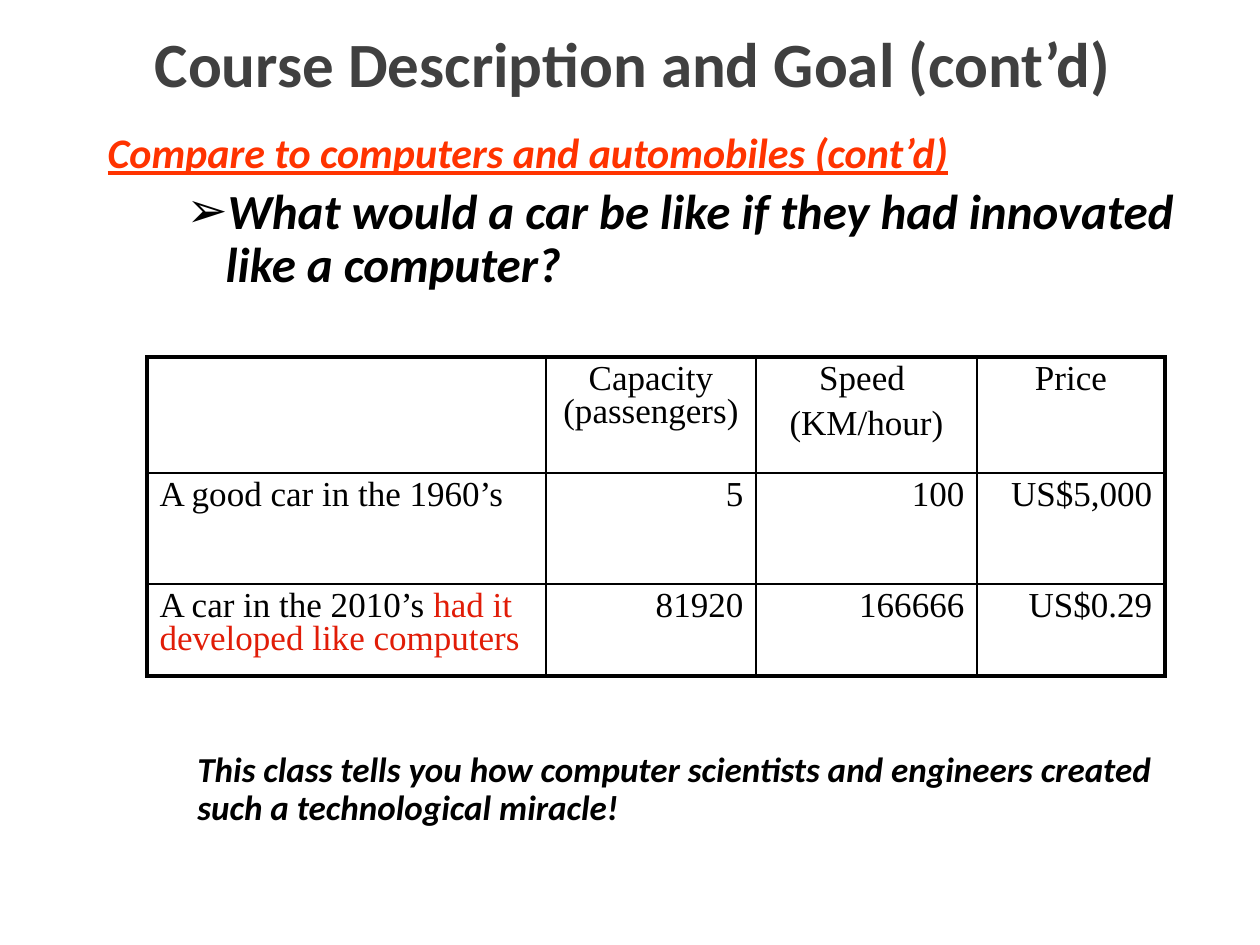
from pptx import Presentation
from pptx.dml.color import RGBColor
from pptx.enum.text import MSO_ANCHOR, MSO_AUTO_SIZE, PP_ALIGN
from pptx.oxml.xmlchemy import OxmlElement
from pptx.util import Pt

PIXEL = 914400 / 126
THEME = {
    "heading_font": "Calibri", "table_font": "Times New Roman",
    "title": "404040", "accent": "FF3300", "text": "000000", "highlight": "E11C07",
    "title_size": 36, "topic_size": 24, "question_size": 28, "text_size": 20,
    "thin": 1, "thick": 2.25,
}
TITLE = "Course Description and Goal (cont’d)"
TOPIC = "Compare to computers and automobiles (cont’d)"
QUESTION = "What would a car be like if they had innovated like a computer?"
CLOSING = ("This class tells you how computer scientists and engineers created "
           "such a technological miracle!")
ROWS = [
    [[], [[("Capacity (passengers)", "text")]],
     [[("Speed ", "text")], [("(KM/hour)", "text")]], [[("Price", "text")]]],
    [[[("A good car in the 1960’s", "text")]],
     [[("5", "text")]], [[("100", "text")]], [[("US$5,000", "text")]]],
    [[[("A car in the 2010’s ", "text"), ("had it developed like computers", "highlight")]],
     [[("81920", "text")]], [[("166666", "text")]], [[("US$0.29", "text")]]],
]
COLUMN_WIDTHS = [399, 210, 221, 188]
ROW_HEIGHTS = [116, 111, 92]
TITLE_BOX = (98, 21, 1070, 83)
BODY_BOX = (95, 126, 1102, 210)
TABLE_ORIGIN = (147, 357)
CLOSING_BOX = (107, 746, 1092, 136)


def px(value):
    return round(value * PIXEL)


def place(shape, box):
    shape.left, shape.top, shape.width, shape.height = map(px, box)


def add_run(paragraph, text, font, size, color, **styles):
    run = paragraph.add_run()
    run.text = text
    run.font.name = THEME[font]
    run.font.size = Pt(THEME[size])
    run.font.color.rgb = RGBColor.from_string(THEME[color])
    for style, value in styles.items():
        setattr(run.font, style, value)


def format_paragraph(paragraph, spacing, before, margin=0, indent=0, bullet=None):
    paragraph.line_spacing = spacing
    paragraph.space_before = Pt(before)
    properties = paragraph._p.get_or_add_pPr()
    properties.set("marL", str(px(margin)))
    properties.set("indent", str(px(indent)))
    mark = OxmlElement("a:buChar" if bullet else "a:buNone")
    if bullet:
        mark.set("char", bullet)
    properties.append(mark)


def set_border(cell, side, width):
    line = OxmlElement(f"a:ln{side}")
    line.set("w", str(Pt(width)))
    fill = OxmlElement("a:solidFill")
    color = OxmlElement("a:srgbClr")
    color.set("val", THEME["text"])
    fill.append(color)
    line.append(fill)
    cell._tc.get_or_add_tcPr().append(line)


def fill_cell(cell, paragraphs, row, column):
    edges = {"L": column == 0, "R": column == len(COLUMN_WIDTHS) - 1,
             "T": row == 0, "B": row == len(ROW_HEIGHTS) - 1}
    for side, outer in edges.items():
        set_border(cell, side, THEME["thick" if outer else "thin"])
    cell.fill.background()
    alignment = PP_ALIGN.CENTER if row == 0 else PP_ALIGN.RIGHT if column else PP_ALIGN.LEFT
    for index, runs in enumerate(paragraphs):
        frame = cell.text_frame
        paragraph = frame.add_paragraph() if index else frame.paragraphs[0]
        paragraph.alignment = alignment
        format_paragraph(paragraph, 0.86, 7)
        for text, color in runs:
            add_run(paragraph, text, "table_font", "text_size", color)


def add_headings(slide):
    title, body = slide.shapes.title, slide.placeholders[1]
    place(title, TITLE_BOX)
    place(body, BODY_BOX)
    for shape in (title, body):
        shape.text_frame.auto_size = MSO_AUTO_SIZE.NONE
    title.text_frame.vertical_anchor = MSO_ANCHOR.MIDDLE
    heading = title.text_frame.paragraphs[0]
    heading.alignment = PP_ALIGN.CENTER
    add_run(heading, TITLE, "heading_font", "title_size", "title", bold=True)

    topic = body.text_frame.paragraphs[0]
    format_paragraph(topic, 0.9, 6)
    add_run(topic, TOPIC, "heading_font", "topic_size", "accent",
            bold=True, italic=True, underline=True)
    question = body.text_frame.add_paragraph()
    question.level = 1
    format_paragraph(question, 0.9, 5.6, 118, -39, "➢")
    add_run(question, QUESTION, "heading_font", "question_size", "text",
            bold=True, italic=True)


def add_comparison(slide):
    box = (*TABLE_ORIGIN, sum(COLUMN_WIDTHS), sum(ROW_HEIGHTS))
    table = slide.shapes.add_table(len(ROW_HEIGHTS), len(COLUMN_WIDTHS), *map(px, box)).table
    table.first_row = table.horz_banding = False
    for column, width in zip(table.columns, COLUMN_WIDTHS):
        column.width = px(width)
    for row, height in zip(table.rows, ROW_HEIGHTS):
        row.height = px(height)
    for row, cells in enumerate(ROWS):
        for column, paragraphs in enumerate(cells):
            fill_cell(table.cell(row, column), paragraphs, row, column)


def add_closing(slide):
    frame = slide.shapes.add_textbox(*map(px, CLOSING_BOX)).text_frame
    frame.word_wrap = True
    paragraph = frame.paragraphs[0]
    paragraph.level = 1
    format_paragraph(paragraph, 0.9, 4, 78)
    add_run(paragraph, CLOSING, "heading_font", "text_size", "text", bold=True, italic=True)


def main():
    presentation = Presentation()
    presentation.slide_width, presentation.slide_height = px(1260), px(945)
    slide = presentation.slides.add_slide(presentation.slide_layouts[1])
    add_headings(slide)
    add_comparison(slide)
    add_closing(slide)
    presentation.save("out.pptx")


if __name__ == "__main__":
    main()
